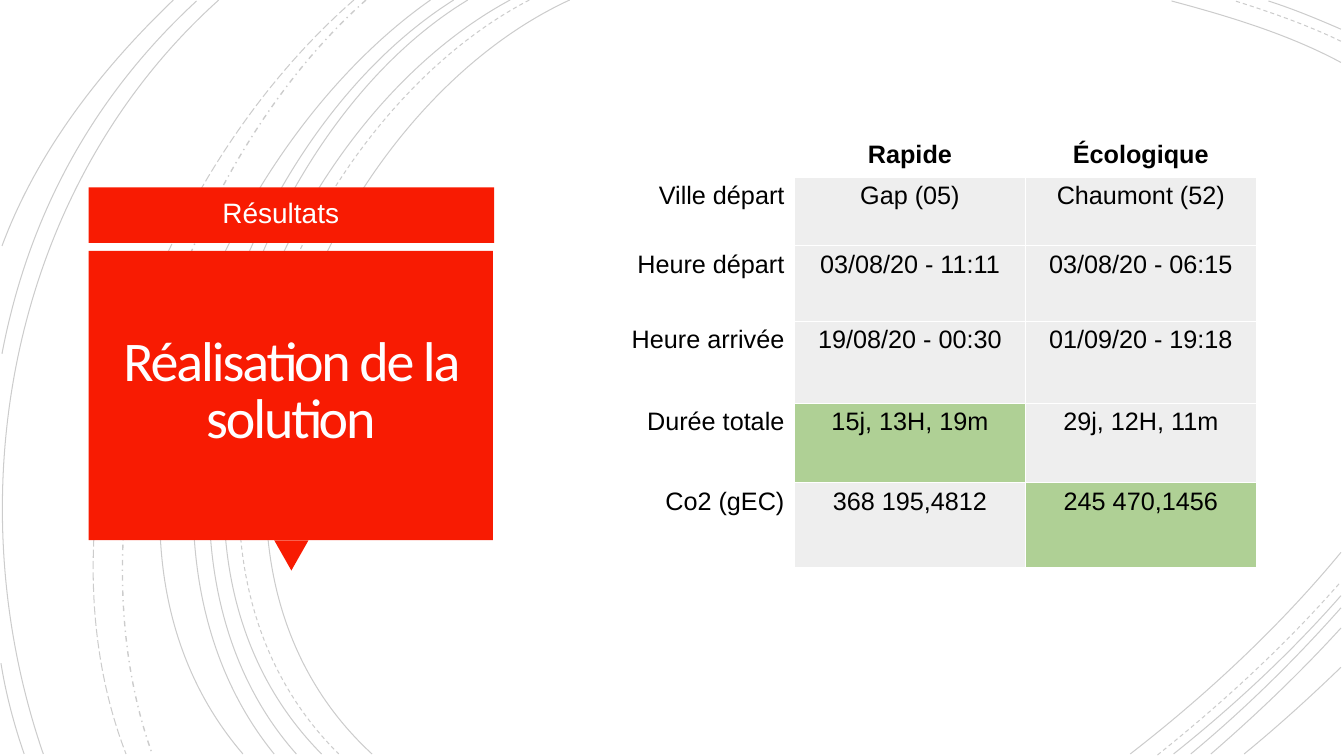
from lxml import etree
from pptx import Presentation
from pptx.dml.color import RGBColor
from pptx.enum.dml import MSO_LINE
from pptx.enum.shapes import MSO_SHAPE
from pptx.enum.text import MSO_ANCHOR, PP_ALIGN
from pptx.oxml.ns import qn
from pptx.util import Inches, Pt

SOLID, DASH = MSO_LINE.SOLID, MSO_LINE.DASH
DASH_DOT, LONG_DASH = MSO_LINE.DASH_DOT, MSO_LINE.LONG_DASH
RECTANGLE, TRIANGLE = MSO_SHAPE.RECTANGLE, MSO_SHAPE.ISOSCELES_TRIANGLE
CENTER, RIGHT, MIDDLE = PP_ALIGN.CENTER, PP_ALIGN.RIGHT, MSO_ANCHOR.MIDDLE

RED, WHITE, BLACK = "F81B02", "FFFFFF", "000000"
GREY, GREEN = "EEEEEE", "AFD095"
CELL = Inches(0.1)  # the slide is a grid of 133.3 columns by 75 rows


def grid(*cells):
    return [round(cell * CELL) for cell in cells]


def add_text(paragraph, text, font_name, size, color, bold=False):
    run = paragraph.add_run()
    run.text = text
    run.font.name = font_name
    run.font.size = Pt(size)
    run.font.bold = bold
    run.font.color.rgb = RGBColor.from_string(color)
    return run


presentation = Presentation()
presentation.slide_width, presentation.slide_height = grid(133.3, 75)
slide = presentation.slides.add_slide(presentation.slide_layouts[6])
shapes = slide.shapes

# Background arcs: dash, width, then start, two control points and end
arcs = [
    (SOLID, 0.75, (56.5, 0), (31.5, 11.5), (14.3, 54), (36.9, 74.8)),
    (SOLID, 0.75, (133, 6.2), (127.8, 3.4), (121.8, 1.6), (116.2, 0.1)),
    (SOLID, 0.75, (112.1, 74.8), (119.6, 69), (126.9, 62.2), (133, 54.8)),
    (DASH, 0.75, (52.5, 0), (28.5, 12.5), (12.3, 53.7), (33.6, 74.8)),
    (DASH, 0.75, (133, 4.1), (129.7, 2.5), (126, 1.2), (122.5, 0.1)),
    (DASH, 0.75, (114.8, 74.9), (121.3, 69.7), (127.5, 64), (133, 57.7)),
    (SOLID, 0.75, (50.6, 0), (27, 12.7), (11, 53.7), (31.9, 74.8)),
    (SOLID, 0.75, (133, 2.9), (130.7, 1.9), (128.3, 0.9), (125.8, 0.1)),
    (SOLID, 0.75, (116.4, 74.8), (122.3, 70.1), (128, 64.8), (133, 59.1)),
    (SOLID, 0.75, (46.4, 0), (24.4, 13.3), (11, 54.1), (29.4, 74.8)),
    (SOLID, 0.75, (118.1, 74.8), (123.4, 70.4), (128.4, 65.5), (133, 60.3)),
    (SOLID, 0.75, (45, 0), (23.1, 13.8), (9.7, 53.3), (27.2, 74.8)),
    (SOLID, 0.75, (120.1, 74.8), (124.6, 70.9), (129, 66.7), (133, 62.3)),
    (SOLID, 0.75, (42.7, 0), (21.7, 14.7), (5.3, 52.9), (24.1, 74.8)),
    (SOLID, 0.75, (123.4, 74.8), (126.7, 72.1), (129.9, 69.2), (133, 66.2)),
    (DASH_DOT, 1, (36.3, 0), (17.6, 16.6), (6.5, 50.9), (15.1, 74.8)),
    (LONG_DASH, 0.75, (35.1, 0), (15.7, 16.9), (2.9, 49.9), (12.5, 74.8)),
    (SOLID, 0.75, (21.7, 0), (1.1, 18.5), (-4.6, 49), (4.3, 74.8)),
    (SOLID, 0.75, (19.5, 0.1), (9.2, 9.6), (2.8, 21.4), (0.2, 35.1)),
    (SOLID, 0.75, (0.1, 65.8), (0.6, 68.9), (1.4, 71.9), (2.4, 74.8)),
    (SOLID, 0.75, (17.2, 0), (10, 6.9), (3.7, 15), (0.2, 24.4)),
]
for dash, width, start, *curve_points in arcs:
    builder = shapes.build_freeform(*grid(*start))
    builder.add_line_segments([grid(*point) for point in curve_points], close=False)
    arc = builder.convert_to_shape()
    arc.shadow.inherit = False
    arc.fill.background()
    arc.line.width = Pt(width)
    arc.line.dash_style = dash
    arc.line.color.rgb = RGBColor.from_string(BLACK)
    line_color = arc.line._ln.find(".//" + qn("a:srgbClr"))
    etree.SubElement(line_color, qn("a:alpha"), val="20000")
    # Bend the three segments into one cubic curve
    outline = arc._element.find(".//" + qn("a:path"))
    curve = etree.SubElement(outline, qn("a:cubicBezTo"))
    for segment in outline.findall(qn("a:lnTo")):
        curve.append(segment[0])
        outline.remove(segment)

# Red title panel with its pointer
panel_parts = [
    (RECTANGLE, 0, (8.8, 18.6, 40.2, 5.5)),
    (TRIANGLE, 180, (27.2, 53.6, 3.4, 3)),
    (RECTANGLE, 0, (8.8, 24.9, 40.1, 28.7)),
]
for kind, rotation, box in panel_parts:
    part = shapes.add_shape(kind, *grid(*box))
    part.rotation = rotation
    part.shadow.inherit = False
    part.fill.solid()
    part.fill.fore_color.rgb = RGBColor.from_string(RED)
    part.line.fill.background()

# Results table
rows = [
    ("", "Rapide", "Écologique"),
    ("Ville départ", "Gap (05)", "Chaumont (52)"),
    ("Heure départ", "03/08/20 - 11:11", "03/08/20 - 06:15"),
    ("Heure arrivée", "19/08/20 - 00:30", "01/09/20 - 19:18"),
    ("Durée totale", "15j, 13H, 19m", "29j, 12H, 11m"),
    ("Co2 (gEC)", "368 195,4812", "245 470,1456"),
]
best_values = {(4, 1), (5, 2)}
table = shapes.add_table(len(rows), 3, *grid(55.9, 13.5, 68.7, 42.6)).table
for row, height in zip(table.rows, grid(4, 6.8, 7.5, 8.1, 7.9, 8.4)):
    row.height = height
for row_index, values in enumerate(rows):
    for column_index, value in enumerate(values):
        cell = table.cell(row_index, column_index)
        is_header = row_index == 0
        is_label = column_index == 0
        if (row_index, column_index) in best_values:
            fill_color = GREEN
        else:
            fill_color = WHITE if is_header or is_label else GREY
        cell.fill.solid()
        cell.fill.fore_color.rgb = RGBColor.from_string(fill_color)
        paragraph = cell.text_frame.paragraphs[0]
        paragraph.alignment = RIGHT if is_label else CENTER
        if value:
            add_text(paragraph, value, "Arial", 18, BLACK, is_header)
        # Hairline white borders, placed ahead of the fill
        for position, side in enumerate(("lnL", "lnR", "lnT", "lnB")):
            border = etree.Element(qn("a:" + side), w=str(Pt(0.06)))
            border_fill = etree.SubElement(border, qn("a:solidFill"))
            etree.SubElement(border_fill, qn("a:srgbClr"), val=WHITE)
            cell._tc.get_or_add_tcPr().insert(position, border)

# Title and subtitle
panel_texts = [
    ("Réalisation de la solution", (9.7, 25.5, 38.3, 26.9), "Calibri", 40, "FFFEFF", -150),
    ("Résultats", (9.7, 19.1, 36.3, 4.5), "Arial", 20, WHITE, 0),
]
for text, box, font_name, size, color, spacing in panel_texts:
    frame = shapes.add_textbox(*grid(*box)).text_frame
    frame.word_wrap = True
    frame.vertical_anchor = MIDDLE
    inset = Inches(0.25)
    frame.margin_left = frame.margin_right = inset
    frame.margin_top = frame.margin_bottom = inset
    paragraph = frame.paragraphs[0]
    paragraph.alignment = CENTER
    paragraph.line_spacing = 0.85
    run = add_text(paragraph, text, font_name, size, color)
    run.font._element.set("spc", str(spacing))

presentation.save("out.pptx")
